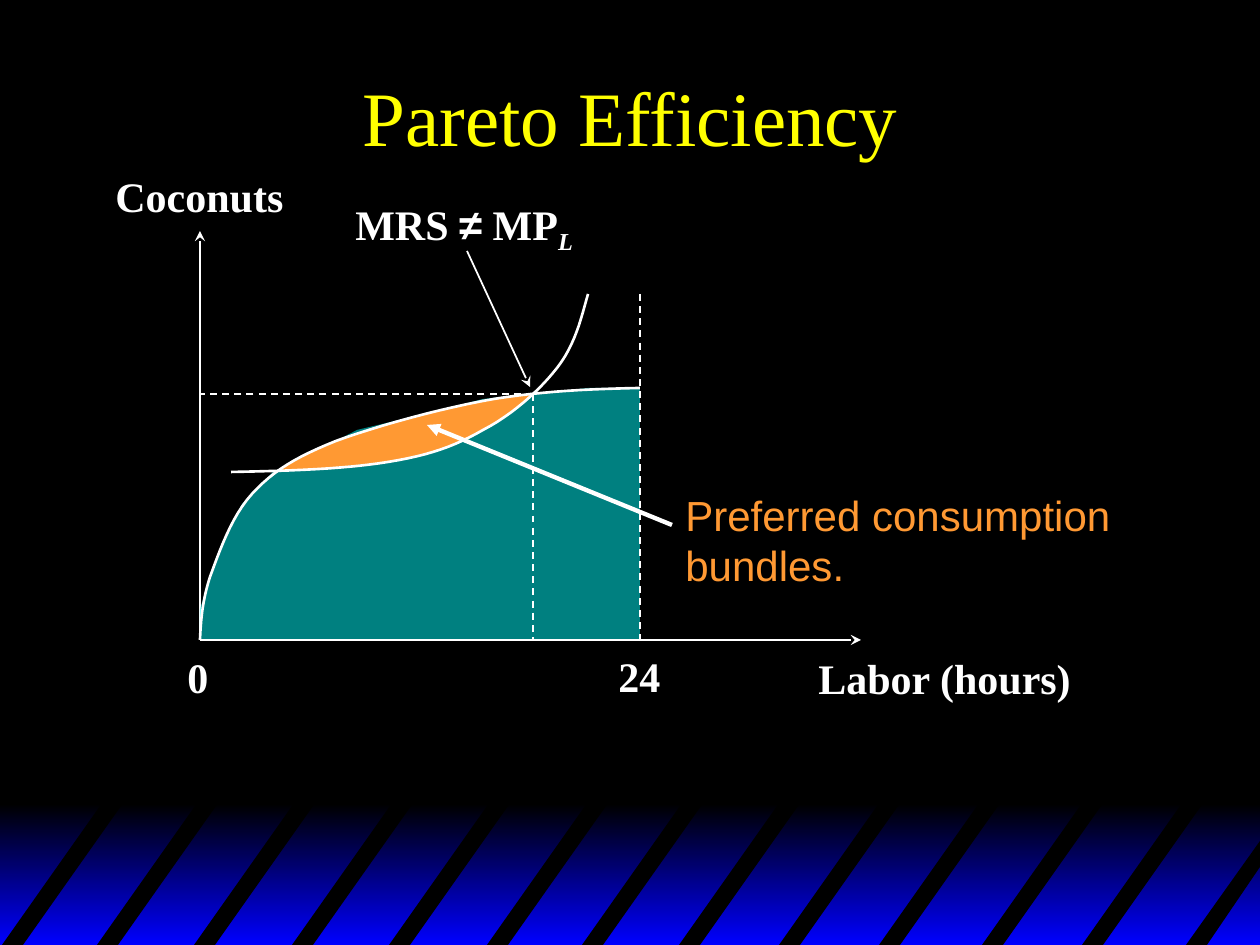
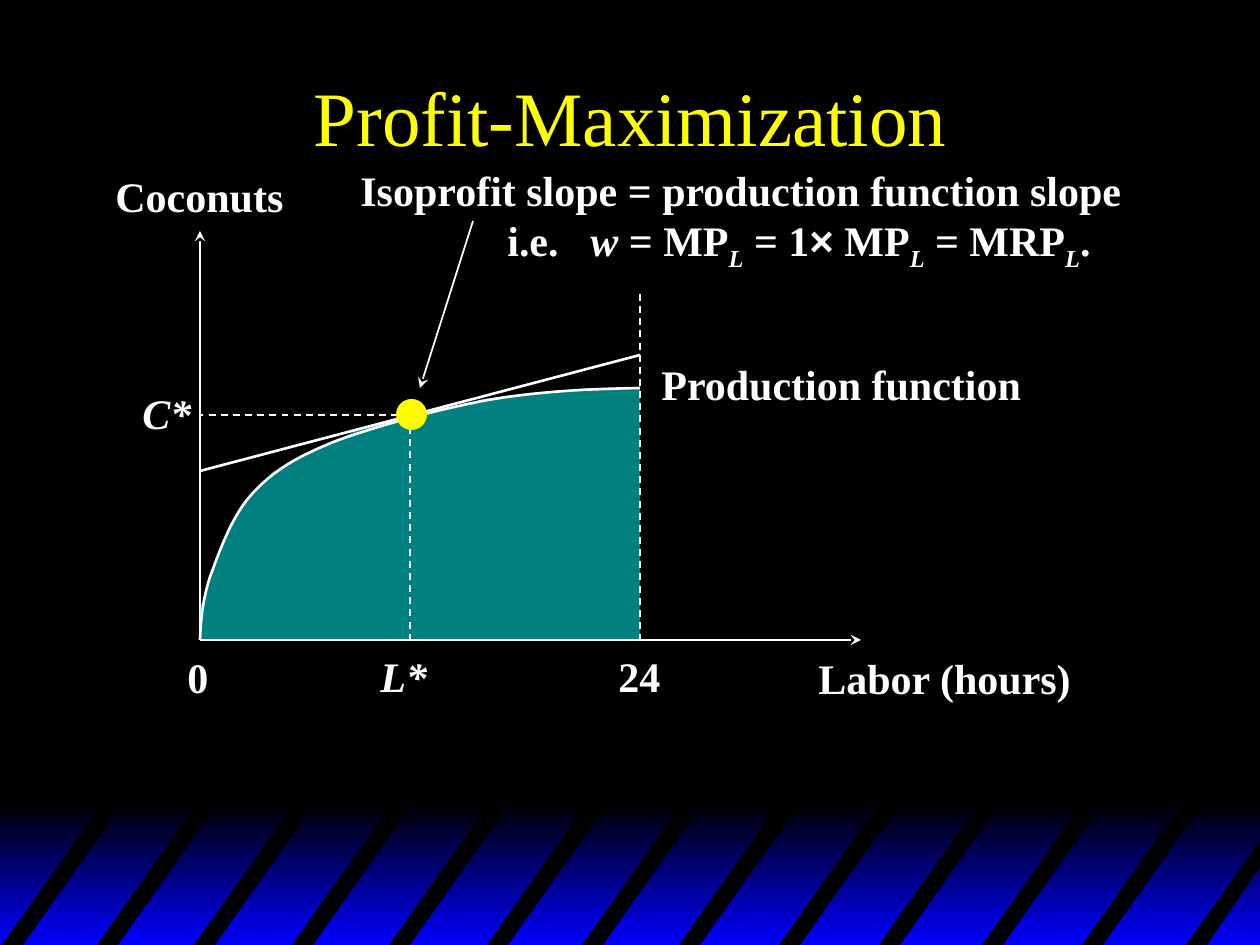
from pptx import Presentation
from pptx import util as u
from pptx.dml.color import RGBColor
from pptx.enum import dml, shapes, text
from pptx.oxml import ns
from lxml import etree

PX = u.Inches(1) / 126
WIDTH, HEIGHT = 1260, 945
BLACK, BLUE, WHITE, YELLOW = "000000", "0000FF", "FFFFFF", "FFFF00"
CYAN, ORANGE = "00FFFF", "FF9933"
SERIF, SANS = "Times New Roman", "Arial"

# Chart geometry
ORIGIN_X, ORIGIN_Y = 200, 640
DAY_END = 640
STRIPE_LEFTS = [2, 97, 194, 292, 389, 487, 582, 679, 779, 879, 982, 1082]
PRODUCTION_CURVE = [
    (200, 640), (201, 621), (202, 602), (210, 577), (219, 553), (231, 517),
    (252, 494), (273, 471), (296, 457), (336, 441), (377, 426), (442, 408),
    (494, 399), (544, 391), (592, 389), (640, 388)]
INDIFFERENCE_CURVE = [
    (231, 472), (289, 471), (346, 469), (388, 462), (431, 455), (455, 446),
    (483, 430), (512, 415), (539, 391), (557, 368), (575, 345), (581, 319),
    (588, 294)]
FEASIBLE_SET = [
    (200, 640), (200, 609), (210, 577), (221, 546), (231, 525), (242, 504),
    (252, 494), (262, 483), (273, 472), (294, 462), (315, 451), (336, 441),
    (357, 430), (399, 420), (441, 410), (483, 399), (588, 388), (640, 388),
    (640, 640)]
PREFERRED_SET = [
    (277, 471), (314, 451), (364, 431), (442, 410), (494, 399), (533, 394),
    (503, 418), (462, 441), (431, 452), (388, 462), (346, 466), (305, 470)]


def px(length):
    return u.Emu(round(length * PX))


def rgb(value):
    return RGBColor.from_string(value)


def bezier(points, steps=12):
    """Sample a chain of cubic curves: a start, then three points a piece."""
    sampled = [points[0]]
    for i in range(0, len(points) - 1, 3):
        piece = points[i:i + 4]
        for step in range(1, steps + 1):
            t = step / steps
            weights = ((1 - t) ** 3, 3 * t * (1 - t) ** 2,
                       3 * t ** 2 * (1 - t), t ** 3)
            sampled.append(tuple(sum(w * p[axis] for w, p in zip(weights, piece))
                                 for axis in (0, 1)))
    return sampled


class Deck:
    def __init__(self):
        self.prs = Presentation()
        self.prs.slide_width, self.prs.slide_height = px(WIDTH), px(HEIGHT)
        self.slide = None

    def new_slide(self, title):
        self.slide = self.prs.slides.add_slide(self.prs.slide_layouts[6])
        background = self.slide.background.fill
        background.solid()
        background.fore_color.rgb = rgb(BLACK)
        self.band()
        self.title(title)

    def band(self):
        glow = self.slide.shapes.add_shape(
            shapes.MSO_SHAPE.RECTANGLE, 0, px(804), px(WIDTH), px(HEIGHT - 804))
        glow.shadow.inherit = False
        glow.line.fill.background()
        glow.fill.gradient()
        glow.fill.gradient_angle = 270
        for stop, color in zip(glow.fill.gradient_stops, (BLACK, BLUE)):
            stop.color.rgb = rgb(color)
        for x in STRIPE_LEFTS:
            self.area([(x, HEIGHT), (x + 103, 799), (x + 124, 799),
                       (x + 21, HEIGHT)], BLACK)
        self.area([(1186, HEIGHT), (WIDTH, 841), (WIDTH, 867), (1207, HEIGHT)], BLACK)

    def title(self, words):
        frame = self.slide.shapes.add_textbox(px(95), px(32), px(1071), px(168)).text_frame
        frame.word_wrap = True
        frame.vertical_anchor = text.MSO_ANCHOR.MIDDLE
        frame.text = words
        heading = frame.paragraphs[0]
        heading.alignment = text.PP_ALIGN.CENTER
        self.format(heading.runs[0], 44, YELLOW, bold=False)

    def format(self, run, size=24, color=WHITE, font=SERIF, bold=True, italic=False):
        run.font.size = u.Pt(size)
        run.font.name = font
        run.font.bold = bold
        run.font.italic = italic
        run.font.color.rgb = rgb(color)

    def label(self, x, y, w, h, *lines, tabs=(), **style):
        """Each line is a string or a list of (words, kind) pieces."""
        frame = self.slide.shapes.add_textbox(px(x), px(y), px(w), px(h)).text_frame
        frame.word_wrap = False
        frame.auto_size = text.MSO_AUTO_SIZE.SHAPE_TO_FIT_TEXT
        for i, line in enumerate(lines):
            paragraph = frame.add_paragraph() if i else frame.paragraphs[0]
            if isinstance(line, str):
                paragraph.text = line
                self.format(paragraph.runs[0], **style)
                continue
            if tabs:
                properties = paragraph._p.get_or_add_pPr()
                stops = etree.SubElement(properties, ns.qn("a:tabLst"))
                for stop in tabs:
                    etree.SubElement(stops, ns.qn("a:tab"), pos=str(px(stop)), algn="l")
            for words, kind in line:
                run = paragraph.add_run()
                run.text = words
                self.format(run, font=SANS if kind == "symbol" else SERIF,
                            italic=kind in ("italic", "sub"))
                if kind == "sub":
                    run._r.get_or_add_rPr().set("baseline", "-25000")

    def line(self, start, end, width=1, head=None, dashed=False):
        connector = self.slide.shapes.add_connector(
            shapes.MSO_CONNECTOR.STRAIGHT, *map(px, start + end))
        connector.line.color.rgb = rgb(WHITE)
        connector.line.width = u.Pt(width)
        if dashed:
            connector.line.dash_style = dml.MSO_LINE.DASH
        if head:
            etree.SubElement(connector.line._get_or_add_ln(), ns.qn("a:tailEnd"), type=head)
        etree.SubElement(connector._element.spPr, ns.qn("a:effectLst"))

    def outline(self, points, close):
        corners = [(px(x), px(y)) for x, y in points]
        builder = self.slide.shapes.build_freeform(*corners[0], scale=1.0)
        builder.add_line_segments(corners[1:], close=close)
        shape = builder.convert_to_shape()
        shape.shadow.inherit = False
        return shape

    def area(self, points, color, alpha=None):
        shape = self.outline(points, close=True)
        shape.line.fill.background()
        shape.fill.solid()
        shape.fill.fore_color.rgb = rgb(color)
        if alpha:
            tone = shape._element.spPr.find(".//" + ns.qn("a:srgbClr"))
            etree.SubElement(tone, ns.qn("a:alpha"), val=str(alpha * 1000))

    def curve(self, points):
        shape = self.outline(bezier(points), close=False)
        shape.fill.background()
        shape.line.color.rgb = rgb(WHITE)
        shape.line.width = u.Pt(1.5)

    def dot(self, x, y, size, color):
        shape = self.slide.shapes.add_shape(
            shapes.MSO_SHAPE.OVAL, px(x), px(y), px(size), px(size))
        shape.shadow.inherit = False
        shape.line.fill.background()
        shape.fill.solid()
        shape.fill.fore_color.rgb = rgb(color)

    def axes(self):
        """Axes, their labels, the feasible set and the 24-hour limit."""
        origin = (ORIGIN_X, ORIGIN_Y)
        self.line(origin, (ORIGIN_X, 231), head="stealth")
        self.label(806, 646, 278, 63, "Labor (hours)")
        self.label(103, 164, 193, 63, "Coconuts")
        self.area(FEASIBLE_SET, CYAN, alpha=50)
        self.line((DAY_END, 294), (DAY_END, ORIGIN_Y), dashed=True)
        self.label(606, 644, 67, 63, "24")
        self.line(origin, (861, ORIGIN_Y), head="stealth")
        self.label(175, 645, 45, 63, "0")

    def guides(self, x, y):
        """Dashed lines from a bundle to both axes."""
        self.line((x, y), (x, ORIGIN_Y), dashed=True)
        self.line((x, y), (ORIGIN_X, y), dashed=True)


def pareto_efficiency(deck):
    deck.new_slide("Pareto Efficiency")
    deck.axes()
    deck.guides(533, 394)
    # Inefficient bundle
    deck.label(343, 192, 253, 71, [("MRS ", ""), ("≠", "symbol"), (" MP", ""), ("L", "sub")])
    deck.line((467, 251), (530, 387), head="stealth")
    # Preferred bundles between the two curves
    deck.area(PREFERRED_SET, ORANGE)
    deck.curve(INDIFFERENCE_CURVE)
    deck.curve(PRODUCTION_CURVE)
    deck.label(673, 483, 450, 113, "Preferred consumption", "bundles.",
               color=ORANGE, font=SANS, bold=False)
    deck.line((672, 525), (427, 425), width=2.5, head="triangle")


def profit_maximization(deck):
    deck.new_slide("Profit-Maximization")
    deck.axes()
    deck.curve(PRODUCTION_CURVE)
    deck.label(649, 352, 386, 63, "Production function")
    # Isoprofit line and optimum
    deck.line((ORIGIN_X, 471), (DAY_END, 355), width=1.5)
    deck.guides(410, 415)
    deck.dot(396, 399, 31, YELLOW)
    deck.label(130, 381, 74, 63, "C*", italic=True)
    deck.label(368, 644, 72, 63, "L*", italic=True)
    # Tangency condition
    deck.label(348, 158, 788, 121, "Isoprofit slope = production function slope",
               [("\ti.e.\t", ""), ("w", "italic"), (" = MP", ""), ("L", "sub"),
                (" = 1", ""), ("×", "symbol"), (" MP", ""), ("L", "sub"),
                (" = MRP", ""), ("L", "sub"), (".", "")], tabs=(147, 230))
    deck.line((473, 221), (420, 388), head="stealth")


def main():
    deck = Deck()
    pareto_efficiency(deck)
    profit_maximization(deck)
    deck.prs.save("out.pptx")


if __name__ == "__main__":
    main()
